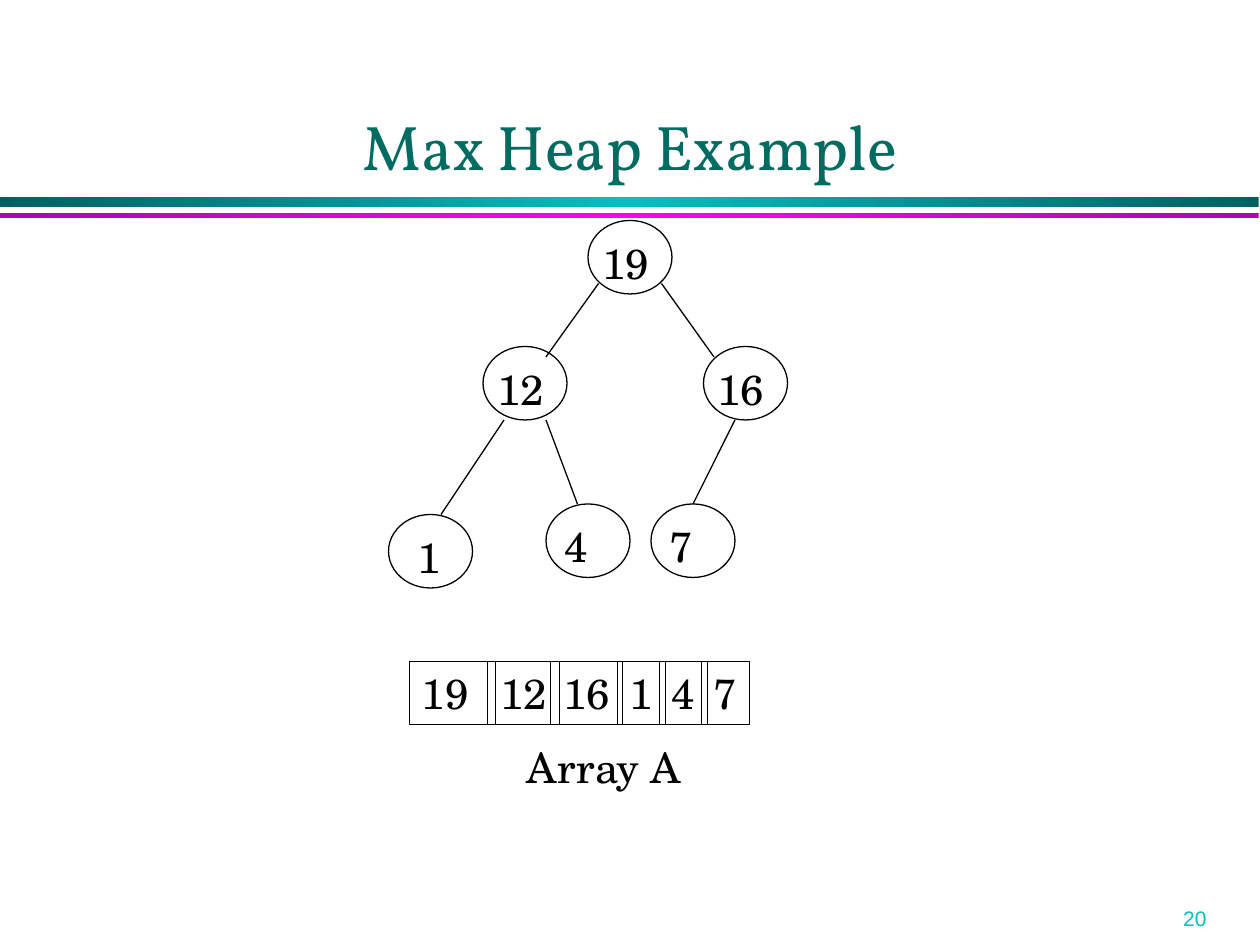
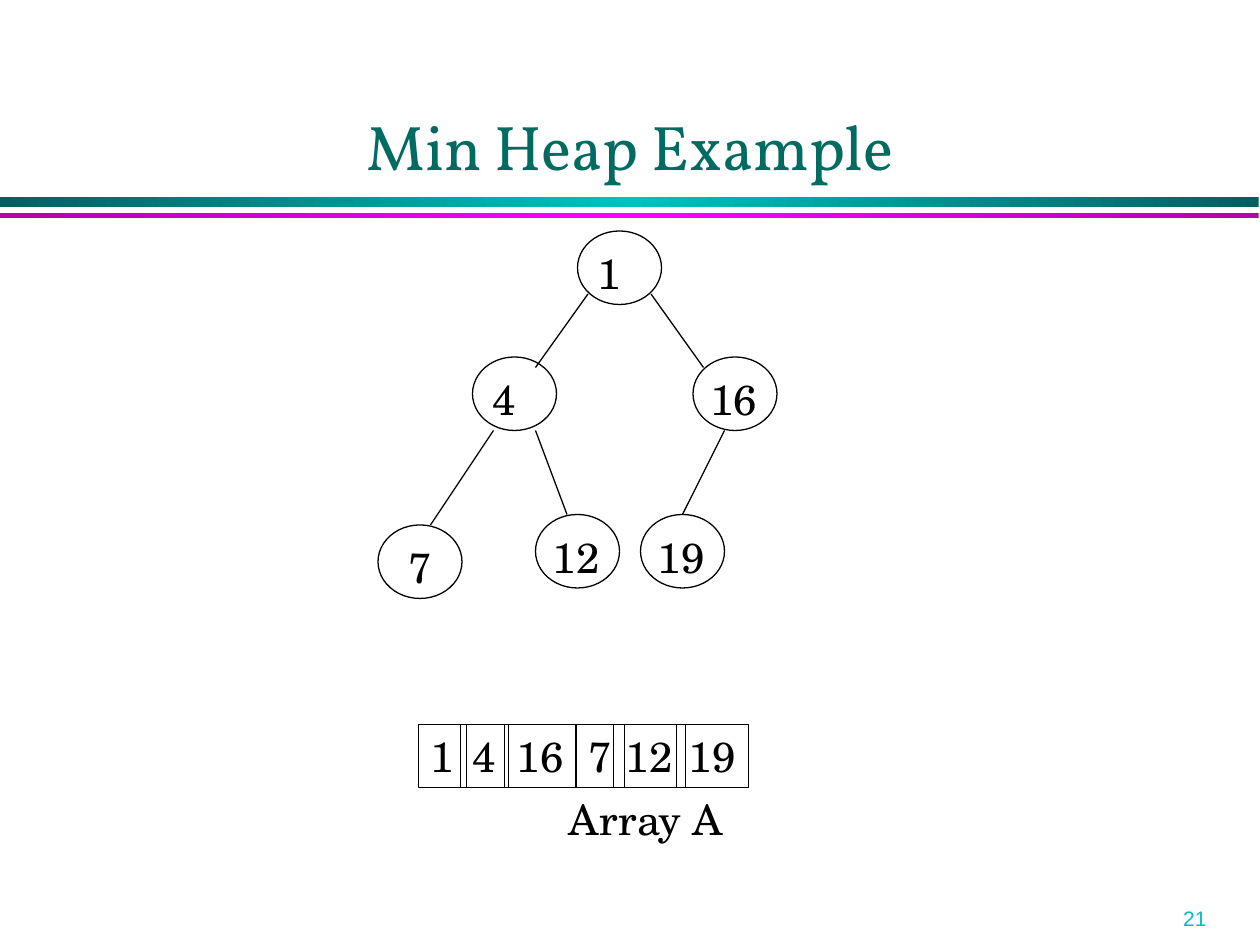
from copy import deepcopy

from pptx import Presentation
from pptx.dml.color import RGBColor
from pptx.enum.shapes import MSO_CONNECTOR as Link, MSO_SHAPE as Preset
from pptx.enum.text import MSO_ANCHOR as Anchor, MSO_AUTO_SIZE as Fit, PP_ALIGN as Align
from pptx.oxml.ns import qn
from pptx.oxml.xmlchemy import OxmlElement
from pptx.util import Pt

BLACK = RGBColor(0x00, 0x00, 0x00)
TITLE_GREEN = RGBColor(0x00, 0x6B, 0x61)
DARK_TEAL = RGBColor(0x00, 0x60, 0x60)
TEAL = RGBColor(0x00, 0xC0, 0xC0)
DARK_MAGENTA = RGBColor(0xB2, 0x00, 0xB2)
MAGENTA = RGBColor(0xFF, 0x00, 0xFF)

TITLE_FONT, BODY_FONT, NUMBER_FONT = "Vollkorn", "TeX Gyre Schola", "Arial"
SLIDE_WIDTH, SLIDE_HEIGHT = 720, 540
BAND_WIDTH = 719.3
NODE_WIDTH, NODE_HEIGHT = 48, 42
KEY_WIDTHS = {1: 27.5, 2: 41.1}
KEY_HEIGHT = 36

NODE_OFFSETS = [(0, 0), (-60, 72), (66, 72), (-114, 168), (-24, 162), (36, 162)]
EDGES = [
    ((6, 36), (-24, 78)),
    ((42, 36), (72, 78)),
    ((-48, 114), (-84, 168)),
    ((-24, 114), (-6, 162)),
    ((84, 114), (60, 162)),
]


def points(*lengths):
    """Turn plain numbers into point lengths."""
    return [Pt(length) for length in lengths]


def write(frame, text, size=24, font=BODY_FONT, color=BLACK, align=Align.LEFT,
          anchor=Anchor.TOP, wrap=True):
    """Put one formatted run into a text frame."""
    frame.word_wrap = wrap
    frame.vertical_anchor = anchor
    frame.auto_size = Fit.NONE if wrap else Fit.SHAPE_TO_FIT_TEXT
    paragraph = frame.paragraphs[0]
    paragraph.alignment = align
    run = paragraph.add_run()
    run.text = text
    run.font.size = Pt(size)
    run.font.name = font
    run.font.color.rgb = color


def add_label(slide, box, text, **style):
    """Add a text box."""
    write(slide.shapes.add_textbox(*points(*box)).text_frame, text, **style)


def add_outline(slide, preset, box, weight):
    """Add an unfilled black outline and return it."""
    outline = slide.shapes.add_shape(preset, *points(*box))
    outline.shadow.inherit = False
    outline.fill.background()
    outline.line.color.rgb = BLACK
    outline.line.width = Pt(weight)
    return outline


def add_band(slide, top, height, edge, middle):
    """Add a full-width band that is brightest in its middle."""
    band = slide.shapes.add_shape(Preset.RECTANGLE, *points(0, top, BAND_WIDTH, height))
    band.shadow.inherit = False
    band.line.fill.background()
    band.fill.gradient()
    band.fill.gradient_angle = 0
    stop_list = band.fill.gradient_stops[0]._gs.getparent()
    stop_list.append(deepcopy(stop_list[0]))
    for stop, position, color in zip(band.fill.gradient_stops, (0, 0.5, 1), (edge, middle, edge)):
        stop.position = position
        stop.color.rgb = color


def add_edge(slide, start, end):
    """Add a line between two tree nodes."""
    edge = slide.shapes.add_connector(Link.STRAIGHT, *points(*start, *end))
    edge.line.color.rgb = BLACK
    edge.line.width = Pt(0.75)
    edge._element.find(qn("p:spPr")).append(OxmlElement("a:effectLst"))


def add_tree(slide, root, keys, key_indents):
    """Draw the heap as a binary tree hung from its root corner."""
    def place(offset):
        return root[0] + offset[0], root[1] + offset[1]

    for key, indent, offset in zip(keys, key_indents, NODE_OFFSETS):
        left, top = place(offset)
        add_outline(slide, Preset.OVAL, (left, top, NODE_WIDTH, NODE_HEIGHT), 0.75)
        key_box = (left + indent, top + 6, KEY_WIDTHS[len(key)], KEY_HEIGHT)
        add_label(slide, key_box, key, wrap=False)
    for start, end in EDGES:
        add_edge(slide, place(start), place(end))


def add_array(slide, keys, lefts, top, first_width):
    """Draw the heap as a row of array cells."""
    widths = [first_width] + [KEY_WIDTHS[len(key)] for key in keys[1:]]
    for key, left, width in zip(keys, lefts, widths):
        cell = add_outline(slide, Preset.RECTANGLE, (left, top, width, KEY_HEIGHT), 0.25)
        write(cell.text_frame, key, wrap=width > KEY_WIDTHS[len(key)])


def add_heap_slide(deck, title, number):
    """Add a slide with the shared bands, title and page number."""
    slide = deck.slides.add_slide(deck.slide_layouts[6])
    add_band(slide, 112.5, 6, DARK_TEAL, TEAL)
    add_band(slide, 121.5, 3, DARK_MAGENTA, MAGENTA)
    add_label(slide, (669, 514, 51, 21.6), number, size=12, font=NUMBER_FONT, color=TEAL)
    add_label(slide, (54, 18, 612, 90), title, size=36, font=TITLE_FONT, color=TITLE_GREEN,
              align=Align.CENTER, anchor=Anchor.BOTTOM)
    return slide


def main():
    """Build the two heap slides."""
    deck = Presentation()
    deck.slide_width, deck.slide_height = points(SLIDE_WIDTH, SLIDE_HEIGHT)

    max_heap = add_heap_slide(deck, "Max Heap Example", "20")
    max_keys = ["19", "12", "16", "1", "4", "7"]
    add_array(max_heap, max_keys, (234, 278.7, 314.7, 352.8, 376.6, 400.5), 378, 49)
    add_label(max_heap, (294, 420, 108, KEY_HEIGHT), "Array A")
    add_tree(max_heap, (336, 126), max_keys, (1, 1, 1, 9.8, 3.4, 3.6))

    min_heap = add_heap_slide(deck, "Min Heap Example", "21")
    min_keys = ["1", "4", "16", "7", "12", "19"]
    add_array(min_heap, min_keys, (239, 262.8, 288.3, 329, 350.6, 386.6), 414, KEY_WIDTHS[1])
    add_label(min_heap, (318, 450, 126, KEY_HEIGHT), "Array A")
    add_tree(min_heap, (330, 132), min_keys, (4.6, 4.4, 2.9, 10.6, 2.9, 2.8))

    deck.save("out.pptx")


if __name__ == "__main__":
    main()
